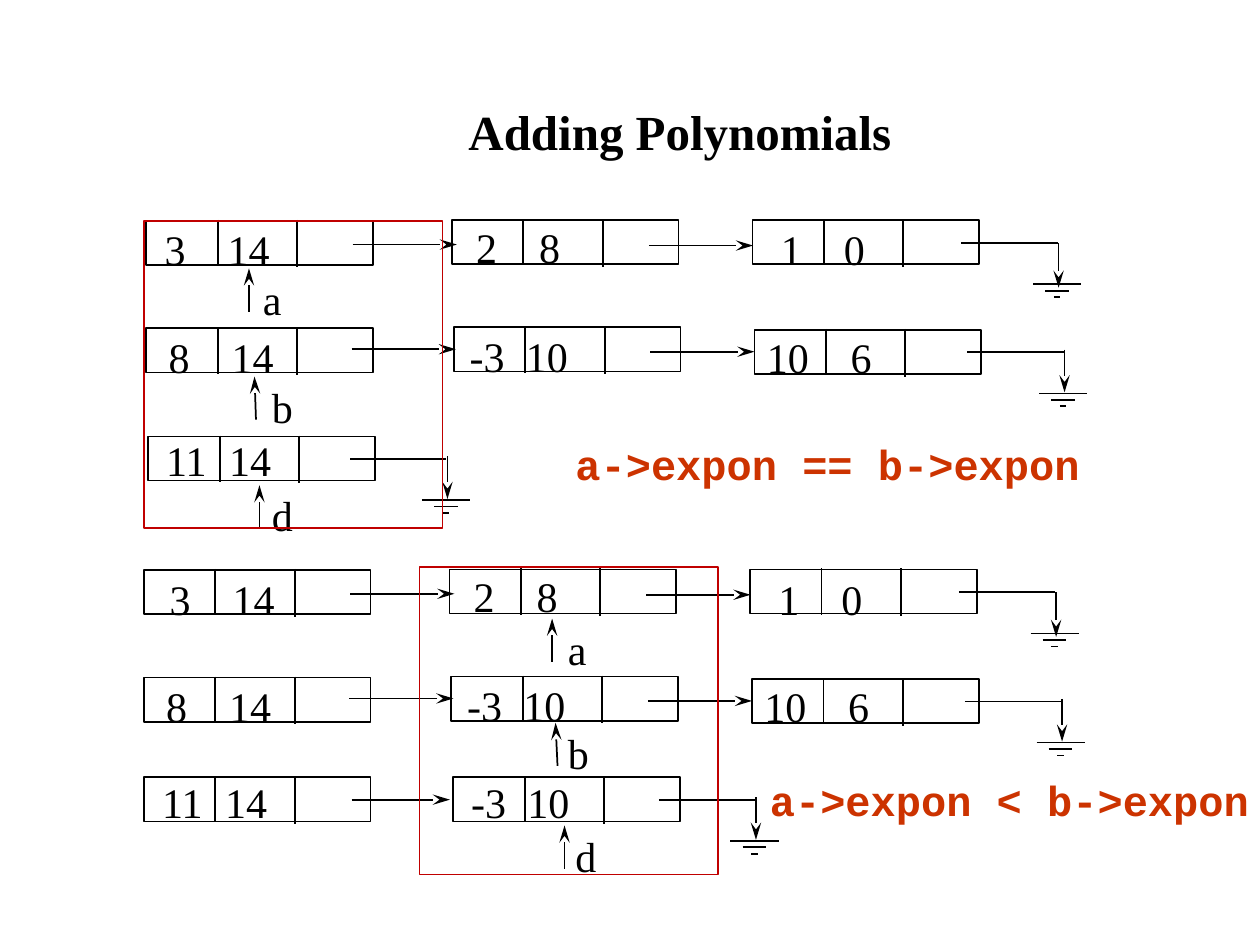
from lxml import etree
from pptx import Presentation
from pptx import util as u
from pptx.dml.color import RGBColor
from pptx.enum import shapes, text
from pptx.oxml.ns import qn

BLACK = RGBColor(0x00, 0x00, 0x00)
ORANGE = RGBColor(0xCC, 0x33, 0x00)
RED = RGBColor(0xC0, 0x00, 0x00)
SERIF, MONO = "Times New Roman", "Courier New"

NODE_W, NODE_H = 4.57, 0.89
DIVIDERS = ((1.44, 0.91), (3.04, 0.94))     # offset from the left, depth
GROUND_BARS = (0.97, 0.48, 0.13)
# Tab stop after the coefficient, by its text
TABS = {"-3": 1.13, "10": 1.69}
DEFAULT_TAB = 1.27


class Board:
    """Draws linked-list diagrams on one slide; all lengths are in cm."""

    def __init__(self, slide, size=24, weight=1):
        self.s = slide
        self.size = u.Pt(size)
        self.weight = u.Pt(weight)

    def text(self, words, x, y, w, h=1.27, *, font=SERIF, size=None, color=BLACK,
             bold=False, wrap=True, align=None, anchor=text.MSO_ANCHOR.TOP, tab=None):
        sp = self.s.shapes.add_textbox(u.Cm(x), u.Cm(y), u.Cm(w), u.Cm(h))
        tf = sp.text_frame
        tf.word_wrap = wrap
        tf.vertical_anchor = anchor
        p = tf.paragraphs[0]
        if tab:
            tabs = etree.SubElement(p._p.get_or_add_pPr(), qn("a:tabLst"))
            etree.SubElement(tabs, qn("a:tab"), pos=str(u.Cm(tab)), algn="l")
        p.alignment = align
        r = p.add_run()
        r.text = words
        r.font.name, r.font.size = font, size or self.size
        r.font.bold, r.font.color.rgb = bold, color

    def frame(self, x, y, w, h, color=BLACK):
        sp = self.s.shapes.add_shape(shapes.MSO_SHAPE.RECTANGLE,
                                     u.Cm(x), u.Cm(y), u.Cm(w), u.Cm(h))
        sp.shadow.inherit = False
        sp.fill.background()
        sp.line.color.rgb, sp.line.width = color, self.weight

    def line(self, x1, y1, x2, y2, arrow=False):
        c = self.s.shapes.add_connector(shapes.MSO_CONNECTOR.STRAIGHT,
                                        u.Cm(x1), u.Cm(y1), u.Cm(x2), u.Cm(y2))
        c.line.color.rgb, c.line.width = BLACK, self.weight
        if arrow:
            etree.SubElement(c.line._get_or_add_ln(), qn("a:tailEnd"),
                             type="stealth", w="med", len="lg")
        etree.SubElement(c._element.spPr, qn("a:effectLst"))

    def node(self, x, y, coef, expon, text_x, text_y):
        """A three-part cell: coefficient, exponent and link field."""
        self.text(f"{coef}\t{expon}", text_x, text_y, 4,
                  tab=TABS.get(coef, DEFAULT_TAB))
        self.frame(x, y, NODE_W, NODE_H)
        for dx, depth in DIVIDERS:
            self.line(x + dx, y - 0.02, x + dx, y + depth)

    def link(self, x, y, length=2.1):
        self.line(x, y, x + length, y, arrow=True)

    def ground(self, x, y, drop=(-0.05, 0.81)):
        """The null link: a wire to the right, a drop and three bars."""
        self.line(x, y, x + 1.94, y)
        self.line(x + 1.96, y + drop[0], x + 1.96, y + drop[1], arrow=True)
        for i, w in enumerate(GROUND_BARS):
            bar_y = y + 0.83 + 0.13 * i
            self.line(x + 1.93 - w / 2, bar_y, x + 1.93 + w / 2, bar_y)

    def pointer(self, name, x, y, label_x, lean=0):
        """An upward arrow with its tip at (x, y) and a name beside it."""
        self.text(name, label_x, y - 0.03, 0.94)
        self.line(x + lean, y + 0.87, x, y, arrow=True)

    def operands(self, dx, dy, first_text_x):
        """The two polynomials to add, one list under the other."""
        for x, y, coef, expon, text_x, text_y in (
                (2.95, 4.45, "3", "14", first_text_x, 4.39),
                (9.11, 4.44, "2", "8", 9.35, 4.34),
                (15.17, 4.44, "1", "0", 15.49, 4.39),
                (2.95, 6.62, "8", "14", 3.15, 6.55),
                (9.15, 6.60, "-3", "10", 9.22, 6.53),
                (15.21, 6.65, "10", "6", 15.21, 6.55)):
            self.node(x + dx, y + dy, coef, expon, text_x + dx, text_y + dy)
        for x, y in ((7.11, 4.93), (13.08, 4.95), (7.09, 7.04), (13.11, 7.09)):
            self.link(x + dx, y + dy)
        self.ground(19.38 + dx, 4.9 + dy, drop=(0, 0.9))
        self.ground(19.5 + dx, 7.1 + dy)

    def condition(self, words, x, y, w):
        self.text(words, x, y, w, 1.3, font=MONO, color=ORANGE, bold=True, wrap=False)


def main():
    prs = Presentation()
    prs.slide_width, prs.slide_height = u.Cm(25.4), u.Cm(19.05)
    b = Board(prs.slides.add_slide(prs.slide_layouts[6]))

    b.text("Adding Polynomials", 2.01, 1.04, 23.39, 3.18, size=u.Pt(28), bold=True,
           align=text.PP_ALIGN.CENTER, anchor=text.MSO_ANCHOR.MIDDLE)

    # Equal exponents: both first terms are added
    b.operands(0, 0, 3.07)
    b.node(2.99, 8.8, "11", "14", 3.1, 8.64)
    b.ground(7.06, 9.25)
    b.pointer("a", 5.02, 5.41, 5.05)
    b.pointer("b", 5.13, 7.59, 5.23, lean=0.03)
    b.pointer("d", 5.23, 9.78, 5.23)
    b.condition("a->expon == b->expon", 11.35, 8.71, 10.74)

    # Smaller exponent in a: the term of b is copied
    b.operands(-0.05, 7.04, 3.22)
    b.node(2.9, 15.67, "11", "14", 3.02, 15.52)
    b.node(9.14, 15.67, "-3", "10", 9.25, 15.52)
    b.link(7.09, 16.12, 1.98)
    b.ground(13.28, 16.12)
    b.pointer("a", 11.13, 12.47, 11.2)
    b.pointer("b", 11.2, 14.57, 11.2, lean=0.04)
    b.pointer("d", 11.38, 16.64, 11.35)
    b.condition("a->expon < b->expon", 15.27, 15.49, 10.24)

    for x, y in ((8.46, 11.43), (2.9, 4.45)):
        b.frame(x, y, 6.02, 6.2, RED)

    prs.save("out.pptx")


if __name__ == "__main__":
    main()
